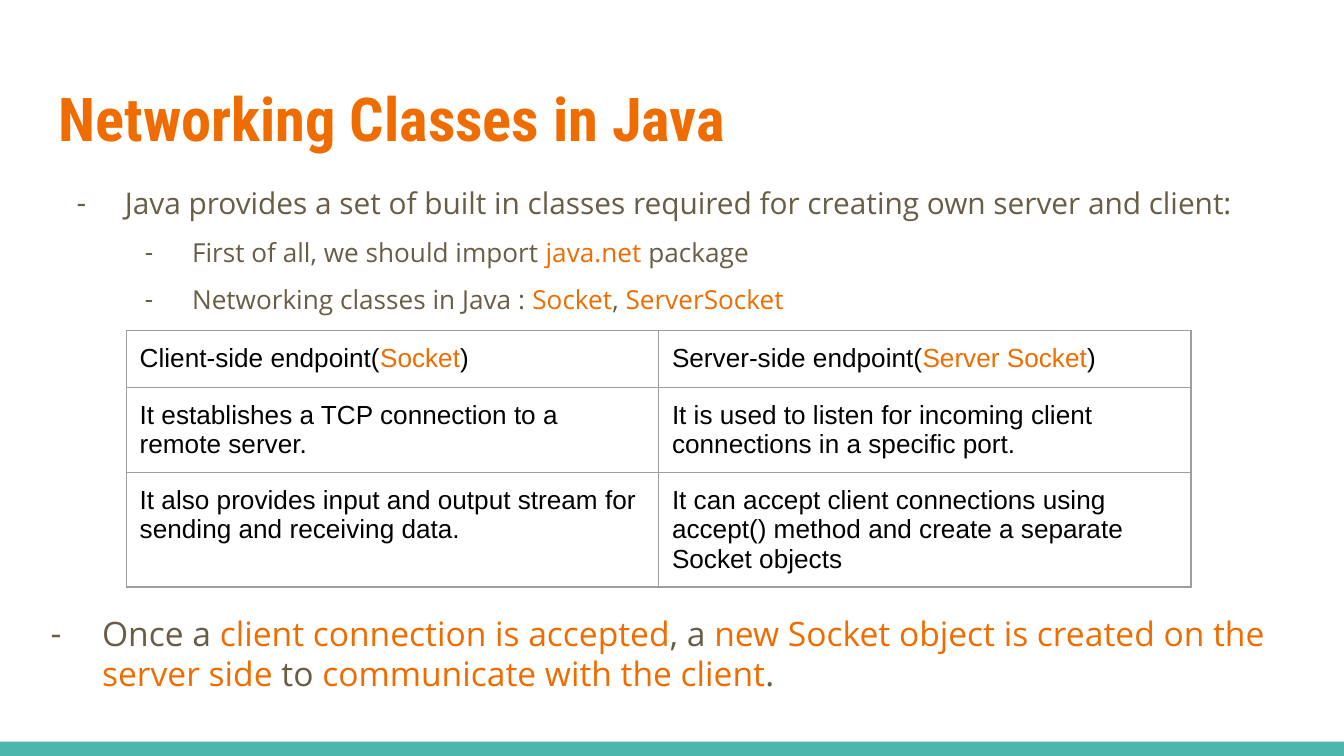
from lxml import etree
from pptx import Presentation
from pptx.dml.color import RGBColor
from pptx.enum.shapes import MSO_SHAPE
from pptx.enum.text import MSO_ANCHOR, MSO_AUTO_SIZE, PP_ALIGN
from pptx.oxml.ns import qn
from pptx.util import Cm, Pt

RECT = MSO_SHAPE.RECTANGLE
TOP, MIDDLE = MSO_ANCHOR.TOP, MSO_ANCHOR.MIDDLE
FIXED = MSO_AUTO_SIZE.NONE
LEFT = PP_ALIGN.LEFT

COLORS = {
    "accent": "EF6C00",
    "body": "695D46",
    "cell": "000000",
    "bar": "4DB6AC",
    "border": "9E9E9E",
}
PAD = Cm(0.25)
POINTS = [
    (0, 16, 0.91, "Java provides a set of built in classes required for creating own server and client:"),
    (1, 14, 0.89, "First of all, we should import |java.net| package"),
    (1, 14, 0.89, "Networking classes in Java : |Socket|, |ServerSocket"),
]
ROWS = [
    ("Client-side endpoint(|Socket|)", "Server-side endpoint(|Server Socket|)"),
    ("It establishes a TCP connection to a remote server.",
     "It is used to listen for incoming client connections in a specific port."),
    ("It also provides input and output stream for sending and receiving data.",
     "It can accept client connections using accept() method and create a separate Socket objects"),
]
CLOSING = ("Once a |client connection is accepted|, a |new Socket object is created on the "
           "server side| to |communicate with the client|.")


def color(name):
    return RGBColor.from_string(COLORS[name])


def style(obj, values):
    for name, value in values.items():
        setattr(obj, name, value)


def place(shape, left, top, width, height):
    style(shape, {"left": Cm(left), "top": Cm(top), "width": Cm(width), "height": Cm(height)})


def frame(shape, anchor):
    style(shape.text_frame, {
        "word_wrap": True, "auto_size": FIXED, "vertical_anchor": anchor,
        "margin_left": PAD, "margin_right": PAD, "margin_top": PAD, "margin_bottom": PAD,
    })
    return shape.text_frame


def write(para, text, font, size, base, bold=False):
    style(para, {"alignment": LEFT, "space_before": Pt(0), "space_after": Pt(0)})
    for index, part in enumerate(text.split("|")):
        run = para.add_run()
        run.text = part
        style(run.font, {"name": font, "size": Pt(size), "bold": bold})
        run.font.color.rgb = color("accent" if index % 2 else base)


def bullet(para, indent, hang):
    props = para._p.get_or_add_pPr()
    props.set("marL", str(Cm(indent)))
    props.set("indent", str(-Cm(hang)))
    tint = etree.SubElement(props, qn("a:buClr"))
    etree.SubElement(tint, qn("a:srgbClr"), val=COLORS["body"])
    etree.SubElement(props, qn("a:buFont"), typeface="Open Sans")
    etree.SubElement(props, qn("a:buChar"), char="-")


def border(cell):
    props = cell._tc.get_or_add_tcPr()
    for side in ("lnL", "lnR", "lnT", "lnB"):
        line = etree.SubElement(props, qn(f"a:{side}"), w=str(Pt(0.75)))
        fill = etree.SubElement(line, qn("a:solidFill"))
        etree.SubElement(fill, qn("a:srgbClr"), val=COLORS["border"])


def add_bar(slide):
    bar = slide.shapes.add_shape(RECT, 0, Cm(14.02), Cm(25.4), Cm(0.27))
    bar.shadow.inherit = False
    bar.fill.solid()
    bar.fill.fore_color.rgb = color("bar")
    bar.line.fill.background()


def add_title(slide):
    title = slide.shapes.title
    place(title, 0.86, 1.24, 23.67, 1.96)
    para = frame(title, MIDDLE).paragraphs[0]
    write(para, "Networking Classes in Java", "Roboto Condensed", 32.4, "accent", True)


def add_list(slide):
    body = slide.placeholders[1]
    place(body, 0.84, 2.9, 23.67, 10.9)
    text = frame(body, TOP)
    for index, (level, size, hang, words) in enumerate(POINTS):
        para = text.add_paragraph() if index else text.paragraphs[0]
        bullet(para, 1.27 * (level + 1), hang)
        style(para, {"level": level, "line_spacing": 1.5})
        write(para, words, "Open Sans", size, "body")


def add_grid(slide):
    wide, high = 10.06, 1.07
    count = len(ROWS)
    grid = slide.shapes.add_table(count, 2, Cm(2.39), Cm(6.25), Cm(wide * 2), Cm(high * count)).table
    style(grid, {"first_row": False, "horz_banding": False})
    for row, texts in zip(grid.rows, ROWS):
        row.height = Cm(high)
        for cell, words in zip(row.cells, texts):
            style(cell, {"margin_left": PAD, "margin_right": PAD,
                         "margin_top": PAD, "margin_bottom": PAD})
            border(cell)
            cell.fill.background()
            write(cell.text_frame.paragraphs[0], words, "Arial", 14, "cell")


def add_closing(slide):
    box = slide.shapes.add_textbox(Cm(0.41), Cm(11.33), Cm(23.83), Cm(2.29))
    para = frame(box, TOP).paragraphs[0]
    bullet(para, 1.27, 0.97)
    write(para, CLOSING, "Open Sans", 18, "body")


def main():
    deck = Presentation()
    style(deck, {"slide_width": Cm(25.4), "slide_height": Cm(14.29)})
    slide = deck.slides.add_slide(deck.slide_layouts[1])
    add_bar(slide)
    add_title(slide)
    add_list(slide)
    add_grid(slide)
    add_closing(slide)
    deck.save("out.pptx")


if __name__ == "__main__":
    main()
